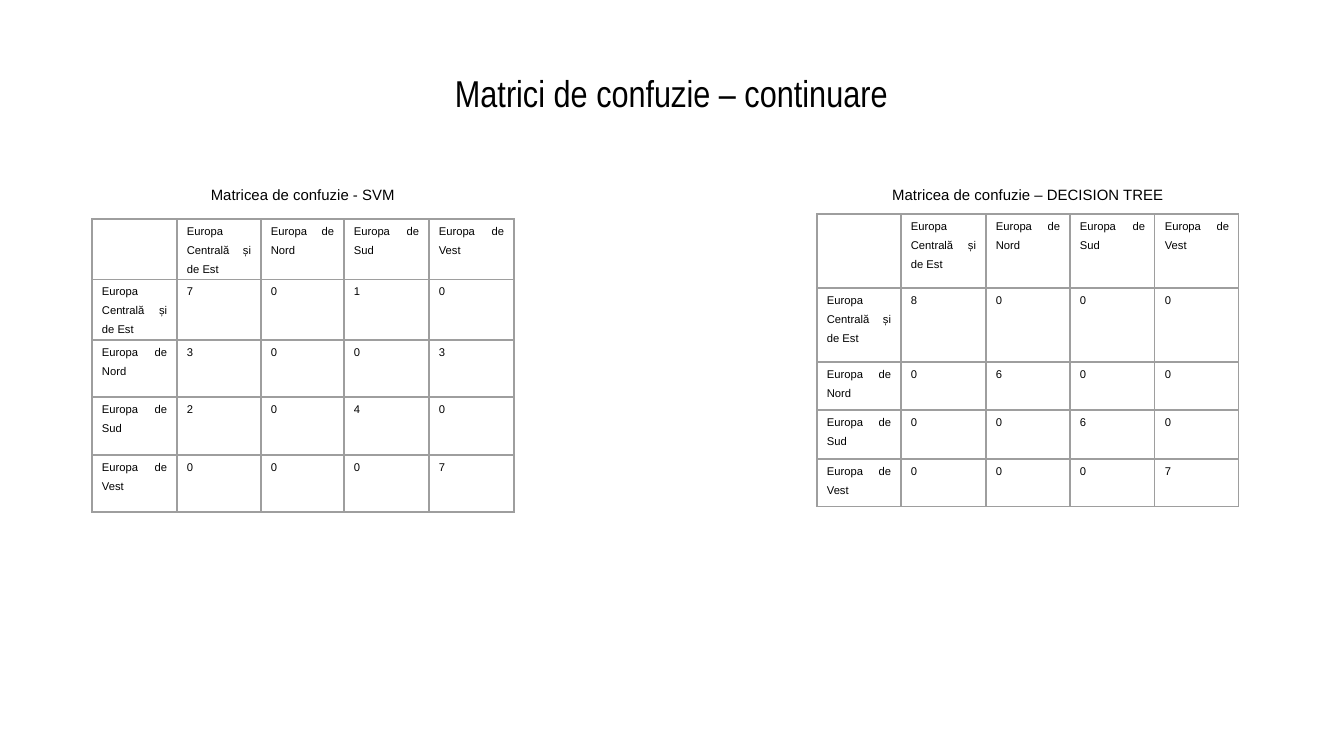
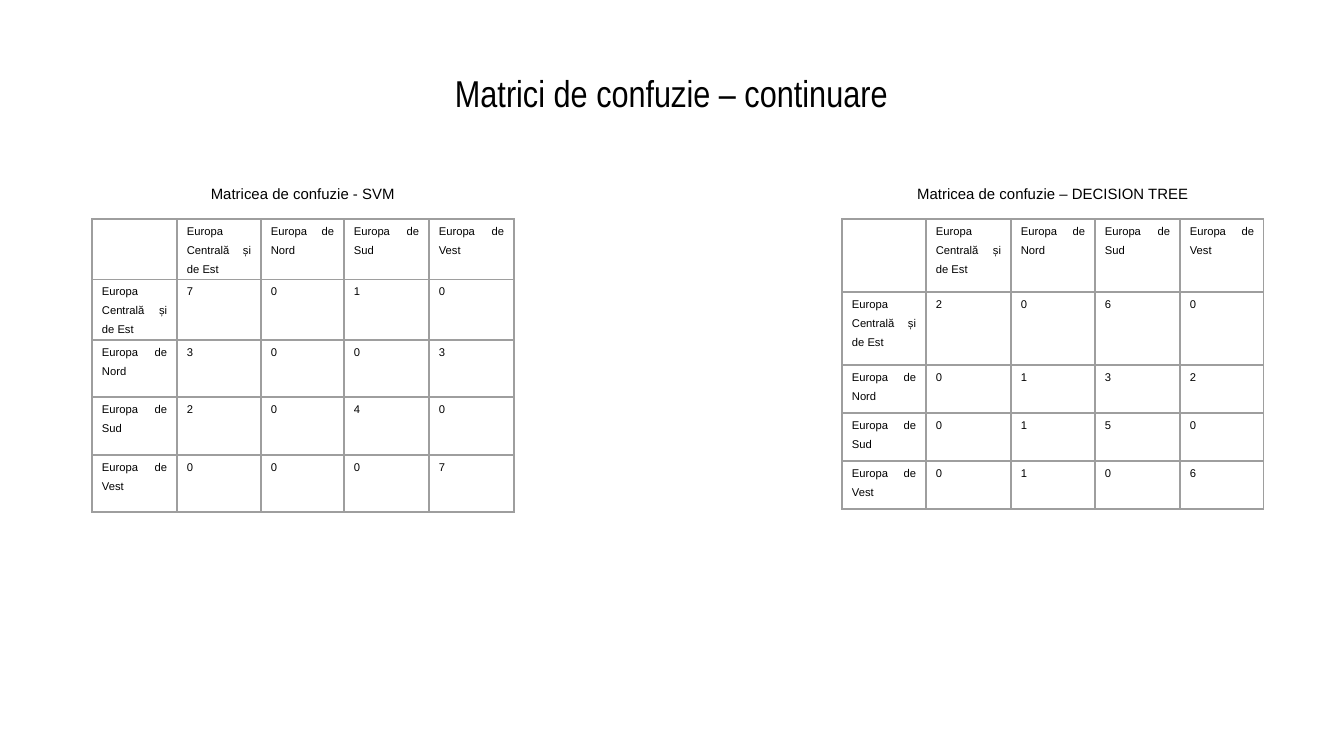
from dataclasses import dataclass

from lxml.etree import SubElement
from pptx import Presentation
from pptx.dml.color import RGBColor
from pptx.enum.text import MSO_ANCHOR, MSO_AUTO_SIZE, PP_ALIGN
from pptx.oxml.ns import qn
from pptx.util import Pt

EMU_PER_INCH = 914400
PX_PER_INCH = 134.4
PAGE_WIDTH, PAGE_HEIGHT = 1344, 756
CAPTION_WIDTH, CAPTION_HEIGHT = 336, 32
BLANK_LAYOUT = 6


@dataclass(frozen=True)
class Theme:
    ink: str = "000000"
    rule: str = "9E9E9E"
    rule_width: float = 0.75
    title_font: str = "Arial Narrow"
    body_font: str = "Arial"
    title_size: int = 20
    caption_size: int = 8
    cell_size: int = 6
    cell_spacing: float = 1.5


@dataclass(frozen=True)
class Matrix:
    caption: str
    caption_top: int
    left: int
    top: int
    columns: tuple
    rows: tuple
    counts: tuple


THEME = Theme()
TITLE = "Matrici de confuzie – continuare"
REGIONS = ("Europa Centrală și de Est", "Europa de Nord", "Europa de Sud", "Europa de Vest")
SVM_CAPTION = "Matricea de confuzie - SVM"
TREE_CAPTION = "Matricea de confuzie – DECISION TREE"
SVM_COLUMNS, SVM_ROWS = (85, 84, 83, 85, 85), (58, 58, 57, 58, 57)
TREE_COLUMNS = (84, 85, 84, 85, 84)
SVM_COUNTS = ((7, 0, 1, 0), (3, 0, 0, 3), (2, 0, 4, 0), (0, 0, 0, 7))

PAGES = (
    (
        Matrix(SVM_CAPTION, 179, 92, 219, SVM_COLUMNS, SVM_ROWS, SVM_COUNTS),
        Matrix(TREE_CAPTION, 179, 817, 214, TREE_COLUMNS, (74, 74, 48, 49, 48),
               ((8, 0, 0, 0), (0, 6, 0, 0), (0, 0, 6, 0), (0, 0, 0, 7))),
    ),
    (
        Matrix(SVM_CAPTION, 178, 92, 219, SVM_COLUMNS, SVM_ROWS, SVM_COUNTS),
        Matrix(TREE_CAPTION, 178, 842, 219, TREE_COLUMNS, (73, 73, 48, 48, 48),
               ((2, 0, 6, 0), (0, 1, 3, 2), (0, 1, 5, 0), (0, 1, 0, 6))),
    ),
)


def px(length):
    return round(length * EMU_PER_INCH / PX_PER_INCH)


def apply_format(target, values):
    for name, value in values.items():
        setattr(target, name, value)


def write_text(frame, text, font, size, **layout):
    para = frame.paragraphs[0]
    apply_format(para, layout)
    span = para.add_run()
    span.text = text
    apply_format(span.font, {"name": font, "size": Pt(size)})
    span.font.color.rgb = RGBColor.from_string(THEME.ink)


def add_title(page):
    box = page.shapes.add_textbox(px(349), px(77), px(645), px(32))
    margins = {f"margin_{side}": px(13) for side in ("left", "top", "right", "bottom")}
    apply_format(box.text_frame, {"word_wrap": True, "vertical_anchor": MSO_ANCHOR.MIDDLE, **margins})
    write_text(box.text_frame, TITLE, THEME.title_font, THEME.title_size, alignment=PP_ALIGN.CENTER)


def add_caption(page, matrix):
    left = matrix.left + (sum(matrix.columns) - CAPTION_WIDTH) // 2
    box = page.shapes.add_textbox(px(left), px(matrix.caption_top), px(CAPTION_WIDTH), px(CAPTION_HEIGHT))
    apply_format(box.text_frame, {"word_wrap": True, "auto_size": MSO_AUTO_SIZE.SHAPE_TO_FIT_TEXT})
    write_text(box.text_frame, matrix.caption, THEME.body_font, THEME.caption_size,
               alignment=PP_ALIGN.CENTER)


def add_borders(cell):
    properties = cell._tc.get_or_add_tcPr()
    for position, side in enumerate(("lnL", "lnR", "lnT", "lnB")):
        line = SubElement(properties, qn(f"a:{side}"), w=str(Pt(THEME.rule_width)))
        fill = SubElement(line, qn("a:solidFill"))
        SubElement(fill, qn("a:srgbClr"), val=THEME.rule)
        properties.insert(position, line)


def format_cell(cell, text):
    apply_format(cell, {"margin_left": px(10), "margin_right": px(10),
                        "margin_top": 0, "margin_bottom": 0})
    cell.fill.background()
    add_borders(cell)
    if text:
        write_text(cell.text_frame, text, THEME.body_font, THEME.cell_size,
                   alignment=PP_ALIGN.JUSTIFY, line_spacing=THEME.cell_spacing)


def add_matrix(page, matrix):
    frame = page.shapes.add_table(len(matrix.rows), len(matrix.columns), px(matrix.left),
                                  px(matrix.top), px(sum(matrix.columns)), px(sum(matrix.rows)))
    table = frame.table
    apply_format(table, {"first_row": False, "horz_banding": False})
    for column, width in zip(table.columns, matrix.columns):
        column.width = px(width)
    for row, height in zip(table.rows, matrix.rows):
        row.height = px(height)
    lines = [("", *REGIONS)]
    lines += [(region, *map(str, counts)) for region, counts in zip(REGIONS, matrix.counts)]
    for row, line in zip(table.rows, lines):
        for cell, text in zip(row.cells, line):
            format_cell(cell, text)


def main():
    deck = Presentation()
    apply_format(deck, {"slide_width": px(PAGE_WIDTH), "slide_height": px(PAGE_HEIGHT)})
    for matrices in PAGES:
        page = deck.slides.add_slide(deck.slide_layouts[BLANK_LAYOUT])
        add_title(page)
        for matrix in matrices:
            add_matrix(page, matrix)
            add_caption(page, matrix)
    deck.save("out.pptx")


if __name__ == "__main__":
    main()
